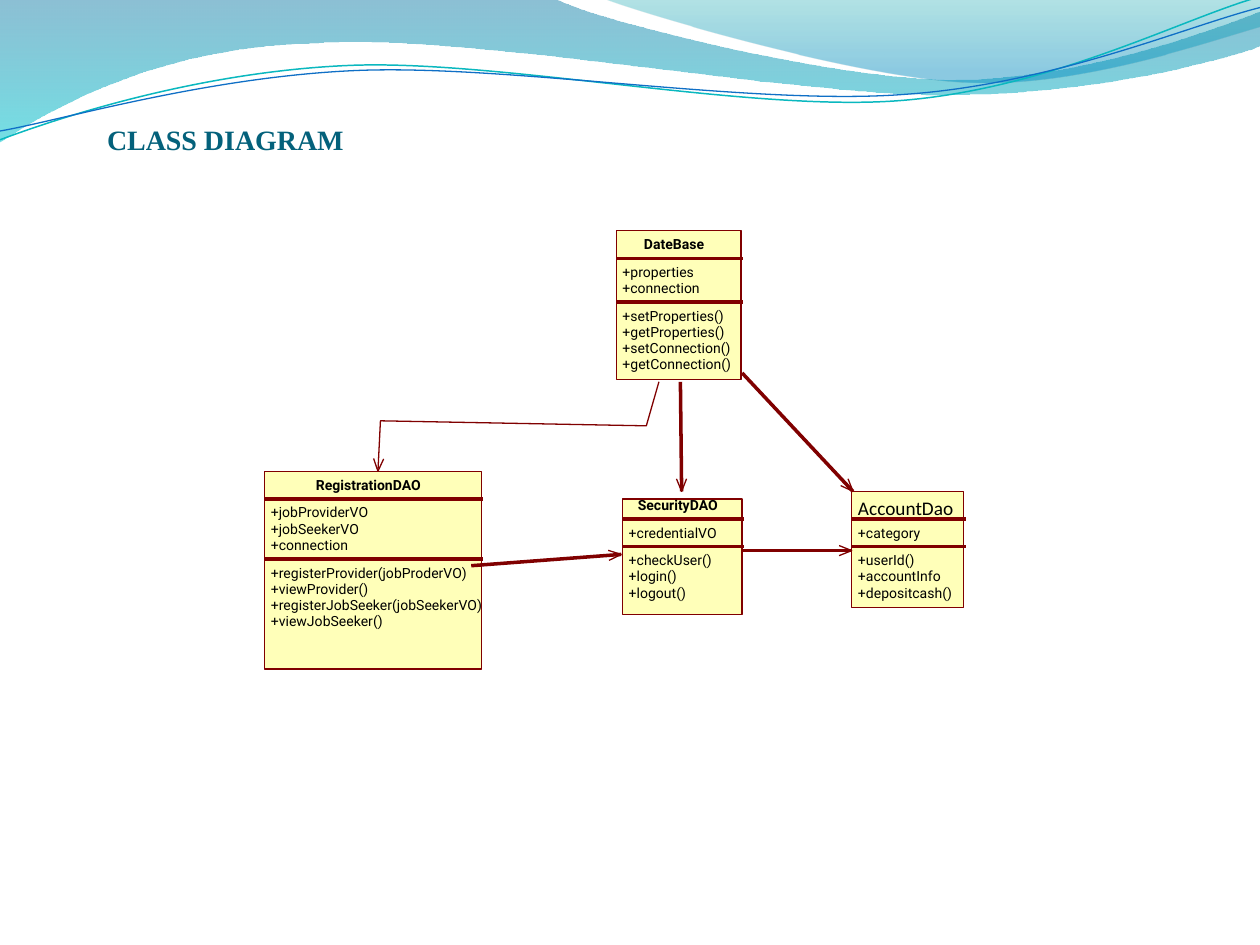
"""Build a class diagram slide with a wave banner on a 100 by 75 grid."""
from dataclasses import dataclass
from math import atan2, cos, sin

from lxml import etree
from pptx import Presentation
from pptx.dml.color import RGBColor
from pptx.enum.shapes import MSO_CONNECTOR, MSO_SHAPE
from pptx.enum.text import MSO_ANCHOR, MSO_AUTO_SIZE, PP_ALIGN
from pptx.oxml.ns import qn
from pptx.util import Emu, Inches, Pt

STRAIGHT = MSO_CONNECTOR.STRAIGHT
RECTANGLE = MSO_SHAPE.RECTANGLE
TOP = MSO_ANCHOR.TOP
FIXED = MSO_AUTO_SIZE.NONE
LEFT, CENTER = PP_ALIGN.LEFT, PP_ALIGN.CENTER

WIDTH, HEIGHT = Inches(10), Inches(7.5)
COLUMN, ROW = WIDTH / 100, HEIGHT / 75
INK, PAPER, BORDER, HEADING = "000000", "FFFFB9", "800000", "04617B"
LINE_STEP, SECTION_PAD, INSET, TEXT_HEIGHT = 1.29, 0.4, 0.5, 2.9
RULE_OVERHANG, TITLE_SHIFT = 0.15, 0.7
HEAD_LENGTH, HEAD_HALF_WIDTH = 1, 0.4

Point = tuple[float, float]


@dataclass(frozen=True)
class Stop:
    position: float
    color: str
    opacity: int


@dataclass(frozen=True)
class Wave:
    """A start point followed by straight (2 numbers) or cubic (6 numbers) segments."""
    start: Point
    segments: tuple[tuple[float, ...], ...]
    stops: tuple[Stop, ...] = ()
    color: str = ""
    weight: float = 0


@dataclass(frozen=True)
class ClassBox:
    name: str
    left: float
    top: float
    width: float
    height: float
    name_top: float
    first_rule: float
    attributes: tuple[str, ...]
    operations: tuple[str, ...]
    font: str = "Roboto"
    size: int = 8
    bold: bool = True
    align: PP_ALIGN = CENTER


WAVES = (
    Wave((0, 0), ((44, -0.1), (47.6, 1.7, 66.4, 6.3, 75.8, 6.3),
                  (85.3, 6.3, 95.8, 2.6, 100, 0.9), (100.1, 3.6),
                  (98.3, 4.4, 87, 7.6, 74.6, 7.5), (62.2, 7.5, 38.2, 2.8, 25.7, 3.4),
                  (12.9, 3.6, 4.6, 8.3, -0.1, 11.3)),
         (Stop(0, "0074A1", 45), Stop(1, "00C6CF", 55))),
    Wave((47.9, -0.1), ((50.9, 1.1, 68.2, 6.2, 76.9, 6.5),
                        (85.6, 6.9, 96.1, 3.2, 100, 2.1), (100, 0)),
         (Stop(0, "00A1A9", 30), Stop(0.8, "008BBF", 45))),
    Wave((0, 11.1), ((4.8, 9.3, 15.8, 5.7, 27.7, 5.2), (39.5, 4.7, 59.3, 8.9, 71.3, 8),
                     (83.3, 7.1, 93.8, 1.5, 99.8, -0.2)), color="0AB8BF", weight=0.85),
    Wave((0, 10.4), ((4.7, 9.6, 16.4, 6.1, 28.3, 5.6), (40.3, 5.1, 59.7, 8.4, 71.7, 7.5),
                     (83.6, 6.7, 94.1, 2.1, 100, 0.6)), color="0F6FC6", weight=0.75),
)

CLASSES = (
    ClassBox("RegistrationDAO", 21, 37.4, 17.2, 15.7, 37.8, 39.6,
             ("+jobProviderVO", "+jobSeekerVO", "+connection"),
             ("+registerProvider(jobProderVO)", "+viewProvider()",
              "+registerJobSeeker(jobSeekerVO)", "+viewJobSeeker()")),
    ClassBox("SecurityDAO", 49.4, 39.6, 9.5, 9.2, 39.4, 41.2,
             ("+credentialVO",), ("+checkUser()", "+login()", "+logout()")),
    ClassBox("AccountDao", 67.6, 39, 8.9, 9.2, 39.4, 41.2,
             ("+category",), ("+userId()", "+accountInfo", "+depositcash()"),
             "Calibri", 11, False, LEFT),
    ClassBox("DateBase", 48.9, 18.3, 9.9, 11.8, 18.7, 20.5,
             ("+properties", "+connection"),
             ("+setProperties()", "+getProperties()", "+setConnection()",
              "+getConnection()")),
)

ARROWS: tuple[tuple[Point, ...], ...] = (
    ((37.4, 44.9), (49.3, 44)),
    ((58.9, 43.7), (67.6, 43.7)),
    ((52.3, 30.3), (51.3, 33.8), (30.2, 33.4), (30, 37.4)),
    ((58.9, 29.6), (67.7, 39)),
    ((54, 30.3), (54.1, 39)),
)


def rgb(value: str) -> RGBColor:
    """Turn a hex string into a colour."""
    return RGBColor.from_string(value)


def place(column: float, row: float) -> tuple[Emu, Emu]:
    """Turn grid units into slide lengths."""
    return Emu(round(column * COLUMN)), Emu(round(row * ROW))


def set_line(shape, color: str, weight: float = 0) -> None:
    """Give a shape or connector a solid line."""
    shape.line.color.rgb = rgb(color)
    shape.line.width = Pt(weight)


def add_run(frame, text: str, font: str, size: float, color: str,
            bold: bool, align: PP_ALIGN) -> None:
    """Write one formatted run into the first paragraph of a frame."""
    frame.auto_size, frame.vertical_anchor = FIXED, TOP
    paragraph = frame.paragraphs[0]
    paragraph.alignment = align
    run = paragraph.add_run()
    run.text = text
    run.font.name, run.font.size, run.font.bold = font, Pt(size), bold
    run.font.color.rgb = rgb(color)


def add_label(slide, text: str, left: float, top: float, width: float,
              font: str = "Roboto", size: float = 8, bold: bool = False,
              align: PP_ALIGN = LEFT) -> None:
    """Add one line of text without margins."""
    frame = slide.shapes.add_textbox(*place(left, top), *place(width, TEXT_HEIGHT)).text_frame
    frame.margin_left = frame.margin_right = frame.margin_top = frame.margin_bottom = 0
    frame.word_wrap = True
    add_run(frame, text, font, size, INK, bold, align)


def add_segment(slide, start: Point, end: Point) -> None:
    """Draw a straight connector without a shadow."""
    connector = slide.shapes.add_connector(STRAIGHT, *place(*start), *place(*end))
    set_line(connector, BORDER)
    etree.SubElement(connector.element.spPr, qn("a:effectLst"))


def add_outline(slide, points: list[Point], close: bool = False):
    """Build an unfilled freeform through grid points."""
    builder = slide.shapes.build_freeform(*place(*points[0]))
    builder.add_line_segments([place(*point) for point in points[1:]], close=close)
    outline = builder.convert_to_shape()
    outline.shadow.inherit = False
    outline.fill.background()
    return outline


def add_wave(slide, wave: Wave) -> None:
    """Draw a wave, merging each set of three control points into a cubic curve."""
    points = [wave.start] + [pair for segment in wave.segments
                             for pair in zip(segment[::2], segment[1::2])]
    outline = add_outline(slide, points, close=bool(wave.stops))
    steps = iter(list(outline.element.iter(qn("a:lnTo"))))
    for segment in wave.segments:
        step = next(steps)
        if len(segment) == 6:
            step.tag = qn("a:cubicBezTo")
            for follower in (next(steps), next(steps)):
                step.append(follower[0])
                follower.getparent().remove(follower)
    if not wave.stops:
        set_line(outline, wave.color, wave.weight)
        return
    outline.line.fill.background()
    outline.fill.gradient()
    outline.fill.gradient_angle = 270
    for target, stop in zip(outline.fill.gradient_stops, wave.stops):
        target.position, target.color.rgb = stop.position, rgb(stop.color)
    for tint, stop in zip(outline.element.spPr.iter(qn("a:srgbClr")), wave.stops):
        etree.SubElement(tint, qn("a:alpha"), val=str(stop.opacity * 1000))


def add_class(slide, box: ClassBox) -> None:
    """Draw a class with its name and two ruled member sections."""
    body = slide.shapes.add_shape(RECTANGLE, *place(box.left, box.top),
                                  *place(box.width, box.height))
    body.shadow.inherit = False
    body.fill.solid()
    body.fill.fore_color.rgb = rgb(PAPER)
    set_line(body, BORDER)
    indent = INSET if box.align == LEFT else 0
    add_label(slide, box.name, box.left + indent, box.name_top, box.width - TITLE_SHIFT + indent,
              box.font, box.size, box.bold, box.align)
    rule = box.first_rule
    for members in (box.attributes, box.operations):
        add_segment(slide, (box.left, rule), (box.left + box.width + RULE_OVERHANG, rule))
        for index, member in enumerate(members):
            add_label(slide, member, box.left + INSET,
                      rule + SECTION_PAD + index * LINE_STEP, box.width + INSET)
        rule += 2 * SECTION_PAD + 0.1 + len(members) * LINE_STEP


def add_arrow(slide, route: tuple[Point, ...]) -> None:
    """Draw a route that ends in an open arrowhead."""
    if len(route) == 2:
        add_segment(slide, *route)
    else:
        set_line(add_outline(slide, list(route)), BORDER)
    (from_x, from_y), (x, y) = route[-2:]
    angle = atan2(y - from_y, x - from_x)
    base_x, base_y = x - HEAD_LENGTH * cos(angle), y - HEAD_LENGTH * sin(angle)
    side_x, side_y = -HEAD_HALF_WIDTH * sin(angle), HEAD_HALF_WIDTH * cos(angle)
    head = [(base_x + side_x, base_y + side_y), (x, y), (base_x - side_x, base_y - side_y)]
    set_line(add_outline(slide, head), BORDER)


def main() -> None:
    """Assemble and save the slide."""
    deck = Presentation()
    deck.slide_width, deck.slide_height = WIDTH, HEIGHT
    slide = deck.slides.add_slide(deck.slide_layouts[5])
    for wave in WAVES:
        add_wave(slide, wave)
    title = slide.shapes.title
    title.left, title.top = place(7.5, 9.2)
    title.width, title.height = place(21, 3.7)
    title.text_frame.word_wrap = False
    add_run(title.text_frame, "CLASS DIAGRAM", "Times New Roman", 16, HEADING, True, LEFT)
    for box in CLASSES:
        add_class(slide, box)
    for route in ARROWS:
        add_arrow(slide, route)
    deck.save("out.pptx")


if __name__ == "__main__":
    main()
